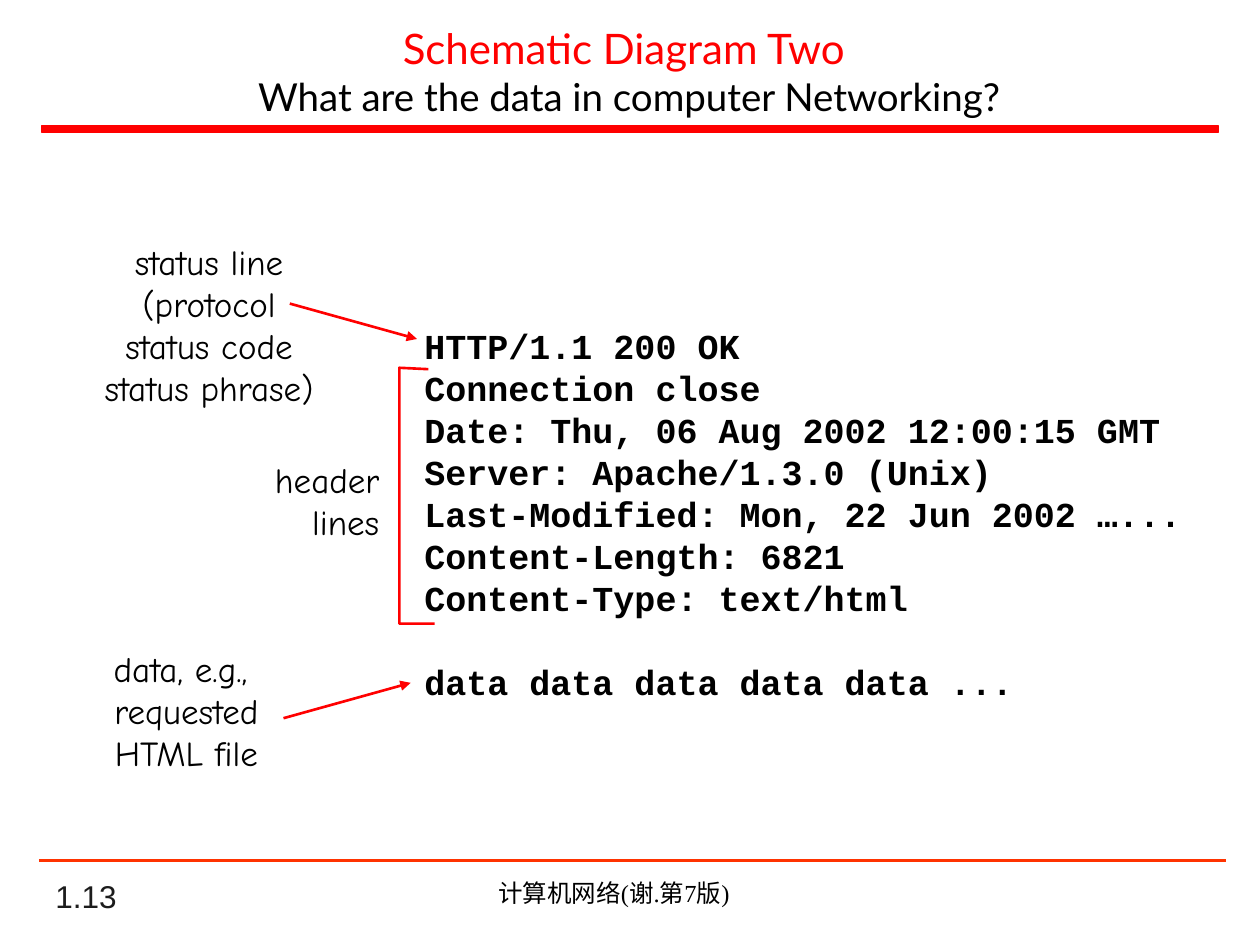
from dataclasses import dataclass

from pptx import Presentation
from pptx.dml.color import RGBColor
from pptx.enum.shapes import MSO_CONNECTOR, MSO_SHAPE
from pptx.enum.text import MSO_ANCHOR, PP_ALIGN
from pptx.oxml.ns import qn
from pptx.util import Pt
from lxml.etree import SubElement


@dataclass(frozen=True)
class Theme:
    red: RGBColor = RGBColor(0xFF, 0x00, 0x00)
    footer_red: RGBColor = RGBColor(0xFF, 0x33, 0x00)
    black: RGBColor = RGBColor(0x00, 0x00, 0x00)
    gray: RGBColor = RGBColor(0x1C, 0x1C, 0x1C)
    title_size: float = 24
    subtitle_size: float = 22
    body_size: float = 20
    number_size: float = 18
    footer_size: float = 14
    line_pitch: float = 24
    line_width: float = 1.5


THEME = Theme()


@dataclass(frozen=True)
class TextBlock:
    left: float
    top: float
    width: float
    height: float
    lines: tuple[str, ...]
    font: str = "Comic Neue"
    size: float = THEME.body_size
    color: RGBColor = THEME.black
    align: PP_ALIGN = PP_ALIGN.CENTER
    anchor: MSO_ANCHOR = MSO_ANCHOR.TOP
    bold: bool = False
    pitch: float | None = THEME.line_pitch
    inset_top: float = 4.4


@dataclass(frozen=True)
class Line:
    start: tuple[float, float]
    end: tuple[float, float]
    color: RGBColor = THEME.red
    arrow: bool = True


def add_text(slide, block: TextBlock):
    shape = slide.shapes.add_textbox(
        Pt(block.left), Pt(block.top), Pt(block.width), Pt(block.height))
    frame = shape.text_frame
    frame.word_wrap = False
    frame.vertical_anchor = block.anchor
    frame.margin_top = Pt(block.inset_top)
    frame.text = "\n".join(block.lines)
    for paragraph in frame.paragraphs:
        paragraph.alignment = block.align
        if block.pitch:
            paragraph.line_spacing = Pt(block.pitch)
        paragraph.font.name = block.font
        paragraph.font.size = Pt(block.size)
        paragraph.font.bold = block.bold
        paragraph.font.color.rgb = block.color
    return shape


def add_line(slide, line: Line) -> None:
    connector = slide.shapes.add_connector(
        MSO_CONNECTOR.STRAIGHT, *(Pt(value) for value in line.start + line.end))
    connector.line.color.rgb = line.color
    connector.line.width = Pt(THEME.line_width)
    if line.arrow:
        SubElement(connector.line._get_or_add_ln(), qn("a:tailEnd"), type="triangle")
    SubElement(connector._element.spPr, qn("a:effectLst"))


def add_title(slide) -> None:
    shape = slide.shapes.add_textbox(Pt(28), Pt(15.8), Pt(663), Pt(49.7))
    frame = shape.text_frame
    frame.word_wrap = True
    frame.vertical_anchor = MSO_ANCHOR.MIDDLE
    paragraph = frame.paragraphs[0]
    paragraph.alignment = PP_ALIGN.CENTER
    paragraph.font.name = "Lato"
    heading = paragraph.add_run()
    heading.text = "Schematic Diagram Two "
    heading.font.size = Pt(THEME.title_size)
    heading.font.color.rgb = THEME.red
    paragraph.add_line_break()
    question = paragraph.add_run()
    question.text = "What are the data in computer Networking?"
    question.font.size = Pt(THEME.subtitle_size)
    question.font.color.rgb = THEME.black


def add_title_rule(slide) -> None:
    rule = slide.shapes.add_shape(MSO_SHAPE.RECTANGLE, Pt(23.8), Pt(72), Pt(672.5), Pt(3.6))
    rule.shadow.inherit = False
    rule.fill.solid()
    rule.fill.fore_color.rgb = THEME.red
    rule.line.color.rgb = THEME.red
    rule.line.width = Pt(1)


def add_bracket(slide) -> None:
    points = [(244.8, 211), (228.2, 210.2), (228.2, 356.4), (248.4, 356.4)]
    (first_x, first_y), *others = [(Pt(x), Pt(y)) for x, y in points]
    builder = slide.shapes.build_freeform(first_x, first_y)
    builder.add_line_segments(others, close=False)
    bracket = builder.convert_to_shape()
    bracket.shadow.inherit = False
    bracket.fill.background()
    bracket.line.color.rgb = THEME.red
    bracket.line.width = Pt(THEME.line_width)


FOOTERS = (
    TextBlock(24.5, 502.6, 149.8, 23.8, ("1.13",), "Arial", THEME.number_size, THEME.gray,
              PP_ALIGN.LEFT, MSO_ANCHOR.BOTTOM, pitch=None, inset_top=3.6),
    TextBlock(203.8, 498.2, 293.8, 24.5, ("计算机网络(谢.第7版)",), "Times New Roman",
              THEME.footer_size, pitch=None, inset_top=3.6),
)
RESPONSE = TextBlock(
    235.4, 179.3, 458.6, 223.2,
    ("HTTP/1.1 200 OK",
     "Connection close",
     "Date: Thu, 06 Aug 2002 12:00:15 GMT",
     "Server: Apache/1.3.0 (Unix)",
     "Last-Modified: Mon, 22 Jun 2002 …...",
     "Content-Length: 6821",
     "Content-Type: text/html",
     "data data data data data ..."),
    "Courier New", align=PP_ALIGN.LEFT, bold=True, inset_top=6)
LABELS = (
    TextBlock(44.6, 133.2, 149.8, 103,
              ("status line", "(protocol", "status code", "status phrase)")),
    TextBlock(144, 257.8, 79.9, 55.4, ("header", "lines"), align=PP_ALIGN.RIGHT),
    TextBlock(51.1, 365.8, 110.9, 79.2, ("data, e.g., ", "requested", "HTML file")),
)
LINES = (
    Line((22.3, 491.8), (700.6, 491.8), THEME.footer_red, arrow=False),
    Line((165.6, 173.5), (238.3, 193.7)),
    Line((162, 410.4), (234.7, 390.2)),
)


def main() -> None:
    presentation = Presentation()
    presentation.slide_width = Pt(720)
    presentation.slide_height = Pt(540)
    slide = presentation.slides.add_slide(presentation.slide_layouts[6])

    # Title and footer
    add_title_rule(slide)
    add_title(slide)
    for footer in FOOTERS:
        add_text(slide, footer)

    # HTTP response, with one line of space ahead of the data
    response = add_text(slide, RESPONSE)
    response.text_frame.paragraphs[-1].space_before = Pt(THEME.line_pitch)

    # Labels, arrows and bracket
    for label in LABELS:
        add_text(slide, label)
    for line in LINES:
        add_line(slide, line)
    add_bracket(slide)

    presentation.save("out.pptx")


if __name__ == "__main__":
    main()
